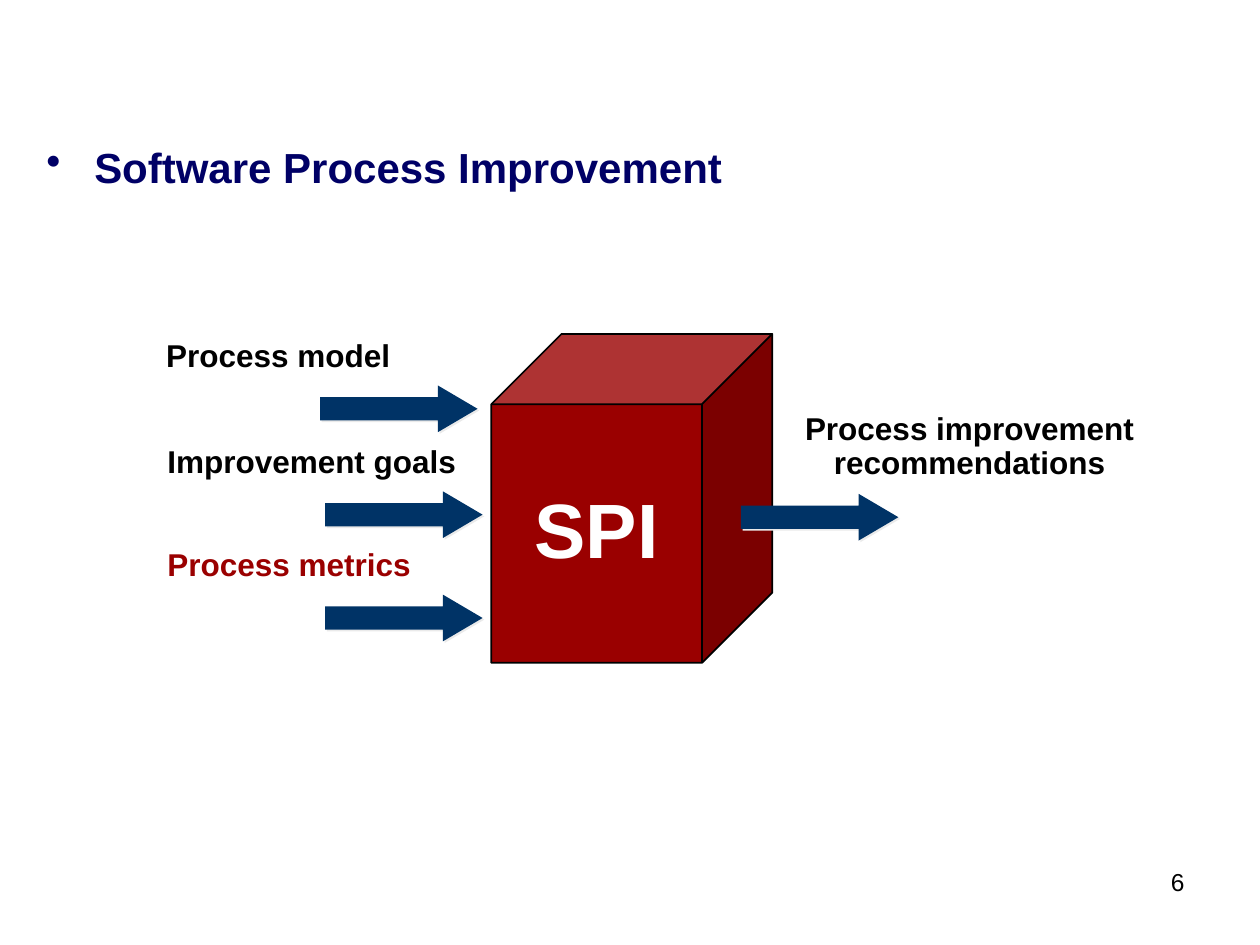
from lxml import etree
from pptx import Presentation
from pptx.dml.color import RGBColor
from pptx.enum.shapes import MSO_SHAPE
from pptx.enum.text import MSO_ANCHOR, PP_ALIGN
from pptx.oxml.ns import qn
from pptx.util import Inches, Pt

LEFT, CENTER, RIGHT = PP_ALIGN.LEFT, PP_ALIGN.CENTER, PP_ALIGN.RIGHT
CUBE, ARROW = MSO_SHAPE.CUBE, MSO_SHAPE.RIGHT_ARROW
MIDDLE = MSO_ANCHOR.MIDDLE
COLORS = {
    "navy": "000066",
    "blue": "003366",
    "red": "9A0000",
    "black": "000000",
    "white": "FFFFFF",
    "shadow": "EAEAEA",
}


def rgb(name):
    return RGBColor.from_string(COLORS[name])


class ProcessSlide:
    """Holds the text style and the slide, and draws each kind of element."""

    font_name = "Arial"

    def __init__(self, slide):
        self.slide = slide

    def add_lines(self, frame, lines, size, color, bold=True, align=LEFT, spacing=0.9):
        for index, line in enumerate(lines):
            paragraph = frame.add_paragraph() if index else frame.paragraphs[0]
            paragraph.alignment = align
            paragraph.line_spacing = spacing
            run = paragraph.add_run()
            run.text = line
            run.font.name = self.font_name
            run.font.size = Pt(size)
            run.font.bold = bold
            run.font.color.rgb = rgb(color)

    def text(self, box, lines, size, color, wrap=False, **style):
        frame = self.slide.shapes.add_textbox(*map(Inches, box)).text_frame
        frame.word_wrap = wrap
        self.add_lines(frame, lines, size, color, **style)
        return frame

    def heading(self, box, title):
        frame = self.text(box, [title], 24, "navy", wrap=True, spacing=1.0)
        paragraph = frame.paragraphs[0]
        paragraph.space_before = Pt(6)
        properties = paragraph._p.get_or_add_pPr()
        properties.set("marL", str(Inches(0.38)))
        properties.set("indent", str(Inches(-0.38)))
        bullet_color = etree.SubElement(properties, qn("a:buClr"))
        etree.SubElement(bullet_color, qn("a:srgbClr"), val=COLORS["navy"])
        etree.SubElement(properties, qn("a:buChar"), char="•")

    def shape(self, kind, box, fill):
        shape = self.slide.shapes.add_shape(kind, *map(Inches, box))
        shape.shadow.inherit = False
        shape.fill.solid()
        shape.fill.fore_color.rgb = rgb(fill)
        return shape

    def cube(self, box, label):
        cube = self.shape(CUBE, box, "red")
        cube.adjustments[0] = 0.25
        cube.line.color.rgb = rgb("black")
        cube.line.width = Pt(1)
        cube.text_frame.word_wrap = False
        cube.text_frame.vertical_anchor = MIDDLE
        self.add_lines(cube.text_frame, [label], 44, "white", align=CENTER)

    def arrow(self, left, top):
        arrow = self.shape(ARROW, (left, top, 1.25, 0.37), "blue")
        arrow.adjustments[0] = 0.5
        arrow.adjustments[1] = 0.85
        arrow.line.fill.background()
        effects = arrow._element.spPr.find(qn("a:effectLst"))
        shadow = etree.SubElement(
            effects, qn("a:outerShdw"), dist=str(Pt(1.4)), dir="2700000", algn="ctr", rotWithShape="0"
        )
        etree.SubElement(shadow, qn("a:srgbClr"), val=COLORS["shadow"])


def main():
    presentation = Presentation()
    presentation.slide_width = Inches(10)
    presentation.slide_height = Inches(7.5)
    page = ProcessSlide(presentation.slides.add_slide(presentation.slide_layouts[6]))

    page.text((7.44, 6.83, 2.06, 0.52), ["6"], 14, "black", wrap=True, bold=False, align=RIGHT, spacing=1.0)
    page.heading((0.27, 1.07, 9, 0.95), "Software Process Improvement")
    page.cube((3.9, 2.65, 2.23, 2.61), "SPI")

    inputs = [
        ("Process model", "black", 1.22, 2.65, 1.98, 2.54),
        ("Improvement goals", "black", 1.23, 3.49, 2.49, 2.58),
        ("Process metrics", "red", 1.23, 4.31, 2.13, 2.58),
    ]
    for label, color, left, top, width, arrow_left in inputs:
        page.arrow(arrow_left, top + 0.41)
        page.text((left, top, width, 0.37), [label], 18, color)

    page.arrow(5.88, 3.92)
    page.text((6.29, 3.23, 2.81, 0.64), ["Process improvement", "recommendations"], 18, "black", align=CENTER)

    presentation.save("out.pptx")


if __name__ == "__main__":
    main()
